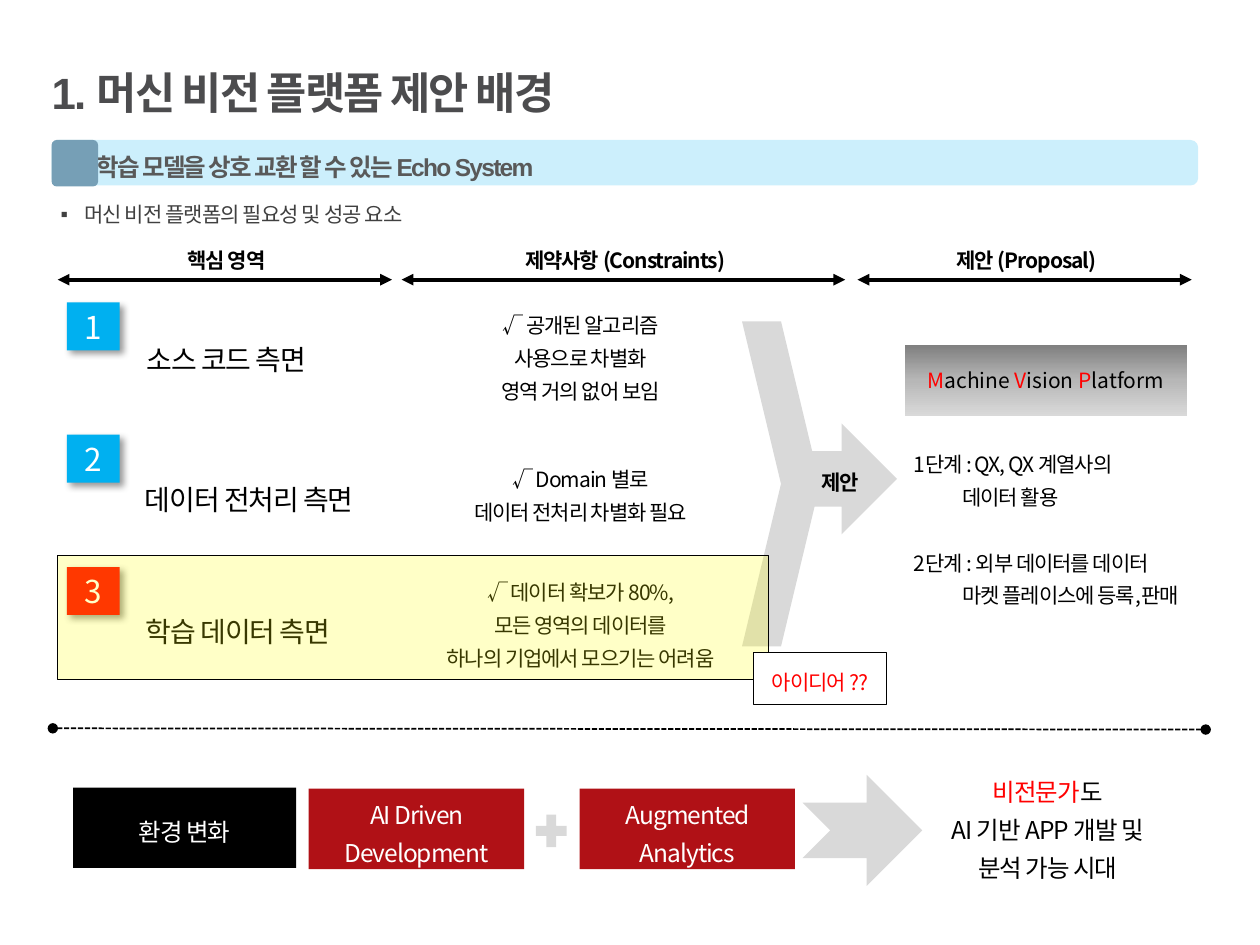
from pptx import Presentation
from pptx.dml.color import RGBColor
from pptx.enum.dml import MSO_LINE
from pptx.enum.shapes import MSO_CONNECTOR, MSO_SHAPE
from pptx.enum.text import MSO_ANCHOR, MSO_AUTO_SIZE, PP_ALIGN
from pptx.oxml.ns import qn
from pptx.util import Pt
from lxml.etree import SubElement

HEX = {"black": "000000", "white": "FFFFFF", "red": "FF0000", "blue": "00B0F0",
       "gray": "D9D9D9", "mid": "B7B7B7", "dark": "808080", "title": "4C4C4E",
       "head": "595959", "body": "404040", "steel": "769FB6", "wine": "B01116",
       "yellow": "FFFF00"}
FONT = "Noto Sans CJK KR"

TITLE = "1. 머신 비전 플랫폼 제안 배경"
HEAD = "학습 모델을 상호 교환 할 수 있는 Echo System"
LEAD = "머신 비전 플랫폼의 필요성 및 성공 요소"
# Column name, left end and right end of its arrow
COLS = [("핵심 영역", 33, 224), ("제약사항 (Constraints)", 229.5, 483),
        ("제안 (Proposal)", 490, 681)]
# Area, its centre and top, constraints, their top, badge colour
ROWS = [
    ("소스 코드 측면", 129.3, 170,
     ["√ 공개된 알고리즘", "사용으로 차별화", "영역 거의 없어 보임"], 160, "blue"),
    ("데이터 전처리 측면", 142.5, 250,
     ["√ Domain 별로", "데이터 전처리 차별화 필요"], 238.5, "blue"),
    ("학습 데이터 측면", 136, 325.5,
     ["√ 데이터 확보가 80%,", "모든 영역의 데이터를", "하나의 기업에서 모으기는 어려움"],
     312.5, "red"),
]
STEPS = ["1단계 : QX, QX 계열사의", "데이터 활용",
         "2단계 : 외부 데이터를 데이터", "마켓 플레이스에 등록,판매"]
PLAN = [[("M", "red"), ("achine ", "black"), ("V", "red"), ("ision ", "black"),
         ("P", "red"), ("latform", "black")]]
TREND = [("환경 변화", (41.8, 450, 127.4, 46), "black"),
         ("AI Driven Development", (176.4, 450.7, 123.1, 46), "wine"),
         ("Augmented Analytics", (331.2, 450.7, 123.1, 46), "wine")]
GOAL = [[("비전문가", "red"), ("도", "black")], "AI 기반 APP 개발 및", "분석 가능 시대"]


def rgb(name):
    return RGBColor.from_string(HEX[name])


def fade(fill, percent):
    color = fill._xPr.find(qn("a:solidFill"))[0]
    SubElement(color, qn("a:alpha"), val=str(percent * 1000))


def write(shape, lines, size, color="black", bold=False, gap=-0.6, space=1.3,
          align=PP_ALIGN.CENTER, font=FONT, inset=(0, 0, 0, 0),
          anchor=MSO_ANCHOR.MIDDLE):
    """Fill a shape with lines; a line is a string or a list of (text, colour)."""
    frame = shape.text_frame
    frame.word_wrap = True
    frame.auto_size = MSO_AUTO_SIZE.NONE
    frame.vertical_anchor = anchor
    (frame.margin_left, frame.margin_top,
     frame.margin_right, frame.margin_bottom) = map(Pt, inset)
    for i, line in enumerate(lines):
        para = frame.add_paragraph() if i else frame.paragraphs[0]
        para.alignment, para.line_spacing = align, space
        para.space_before = para.space_after = Pt(0)
        for text, tint in [(line, color)] if isinstance(line, str) else line:
            run = para.add_run()
            run.text = text
            run.font.size, run.font.bold, run.font.name = Pt(size), bold, font
            run.font.color.rgb = rgb(tint)
            props = run.font._element
            props.set("spc", str(round(gap * 100)))
            SubElement(props, qn("a:ea"), typeface=FONT)
    return frame


def block(kind, box, fill, line=None):
    shape = shapes.add_shape(kind, *map(Pt, box))
    shape.shadow.inherit = False
    shape.fill.solid()
    shape.fill.fore_color.rgb = rgb(fill)
    if line:
        shape.line.color.rgb = rgb(line)
        shape.line.width = Pt(0.75)
    else:
        shape.line.fill.background()
    return shape


def label(box, lines, size, **style):
    return write(shapes.add_textbox(*map(Pt, box)), lines, size, **style)


def rule(x1, y1, x2, y2, width, tip):
    line = shapes.add_connector(MSO_CONNECTOR.STRAIGHT, *map(Pt, (x1, y1, x2, y2)))
    line.line.color.rgb = rgb("black")
    line.line.width = Pt(width)
    if tip == "oval":
        line.line.dash_style = MSO_LINE.SQUARE_DOT
    for end in ("a:headEnd", "a:tailEnd"):
        SubElement(line.line._get_or_add_ln(), qn(end), type=tip)
    SubElement(line._element.spPr, qn("a:effectLst"))


def badge(number, top, fill):
    shape = block(MSO_SHAPE.RECTANGLE, (38.2, top, 30.2, 27.4), fill)
    glow = SubElement(shape._element.spPr.find(qn("a:effectLst")), qn("a:outerShdw"),
                      blurRad=str(Pt(4)), dist=str(Pt(3)), dir="2700000",
                      algn="tl", rotWithShape="0")
    color = SubElement(glow, qn("a:srgbClr"), val=HEX["black"])
    SubElement(color, qn("a:alpha"), val="40000")
    write(shape, [number], 18, color="white", gap=0, space=1)


deck = Presentation()
deck.slide_width, deck.slide_height = Pt(720), Pt(540)
slide = deck.slides.add_slide(deck.slide_layouts[1])
shapes = slide.shapes
title, body = slide.placeholders

# Heading
for holder, box in ((title, (29.5, 41, 642, 34.6)), (body, (34.6, 115.2, 658, 14.4))):
    holder.left, holder.top, holder.width, holder.height = map(Pt, box)
left = {"align": PP_ALIGN.LEFT, "anchor": MSO_ANCHOR.TOP}
write(title, [TITLE], 25, "title", True, -1, 0.9, font="Arial", **left)
props = body.text_frame.paragraphs[0]._p.get_or_add_pPr()
props.set("marL", str(Pt(13.5)))
props.set("indent", str(Pt(-13.5)))
SubElement(props, qn("a:buChar"), char="▪")
write(body, [LEAD], 12, "body", gap=-0.5, space=1, **left)

# Funnel
block(MSO_SHAPE.NOTCHED_RIGHT_ARROW, (444.2, 242, 68.4, 63.4), "gray")
block(MSO_SHAPE.CHEVRON, (424, 183.6, 44.6, 185.8), "gray")

# Banner
bar = block(MSO_SHAPE.ROUNDED_RECTANGLE, (29.5, 80, 655.2, 26), "blue")
fade(bar.fill, 20)
write(bar, [HEAD], 14, "head", True, -1, align=PP_ALIGN.LEFT, font="Arial",
      inset=(24.5, 3.6, 7.2, 3.6))
tab = block(MSO_SHAPE.ROUNDED_RECTANGLE, (29.5, 80, 26.6, 26.6), "steel")
tab.adjustments[0] = 0.11

# Columns and rows
for name, start, end in COLS:
    rule(end, 159.8, start, 159.8, 2.25, "triangle")
    label(((start + end) / 2 - 69, 131.8, 140, 29.5), [name], 12, bold=True)
for i, (area, mid, top, limits, high, fill) in enumerate(ROWS):
    label((mid - 90, top, 180, 64.8), [area], 16)
    badge(str(i + 1), 172.8 + i * 75.6, fill)
    label((231, high, 201.6, 85), limits, 12)

# Proposal
steps = label((522, 243.4, 178.6, 114.5), STEPS, 12, align=PP_ALIGN.LEFT)
for para in steps.paragraphs[1::2]:
    para._p.get_or_add_pPr().set("marL", str(Pt(28)))
steps.paragraphs[2].space_before = Pt(18.7)
plan = block(MSO_SHAPE.RECTANGLE, (517, 197.3, 161.3, 40.3), "gray")
plan.fill.gradient()
plan.fill.gradient_angle = 270
stops = plan.fill._xPr.find(qn("a:gradFill")).find(qn("a:gsLst"))
for stop in list(stops):
    stops.remove(stop)
for place, name in ((0, "dark"), (50, "mid"), (100, "gray")):
    stop = SubElement(stops, qn("a:gs"), pos=str(place * 1000))
    SubElement(stop, qn("a:srgbClr"), val=HEX[name])
write(plan, PLAN, 12, gap=0, space=1, inset=(7.2, 3.6, 7.2, 3.6))
label((442, 258.5, 76.3, 29.5), ["제안"], 12, bold=True)

# Highlighted row
mark = block(MSO_SHAPE.RECTANGLE, (33, 317.5, 406, 70.6), "yellow", "black")
fade(mark.fill, 22)
idea = block(MSO_SHAPE.RECTANGLE, (430.5, 373, 76.3, 29.5), "white", "black")
write(idea, ["아이디어 ??"], 12, "red")

# Trend
rule(689, 416.9, 30.2, 416.2, 1, "oval")
for text, box, fill in TREND:
    write(block(MSO_SHAPE.RECTANGLE, box, fill), [text], 14, "white")
block(MSO_SHAPE.MATH_PLUS, (303.1, 462.2, 23.8, 25.2), "gray")
block(MSO_SHAPE.NOTCHED_RIGHT_ARROW, (458.6, 442.8, 68.4, 63.4), "gray")
label((524.9, 431.3, 147.6, 80.6), GOAL, 14)

deck.save("out.pptx")
